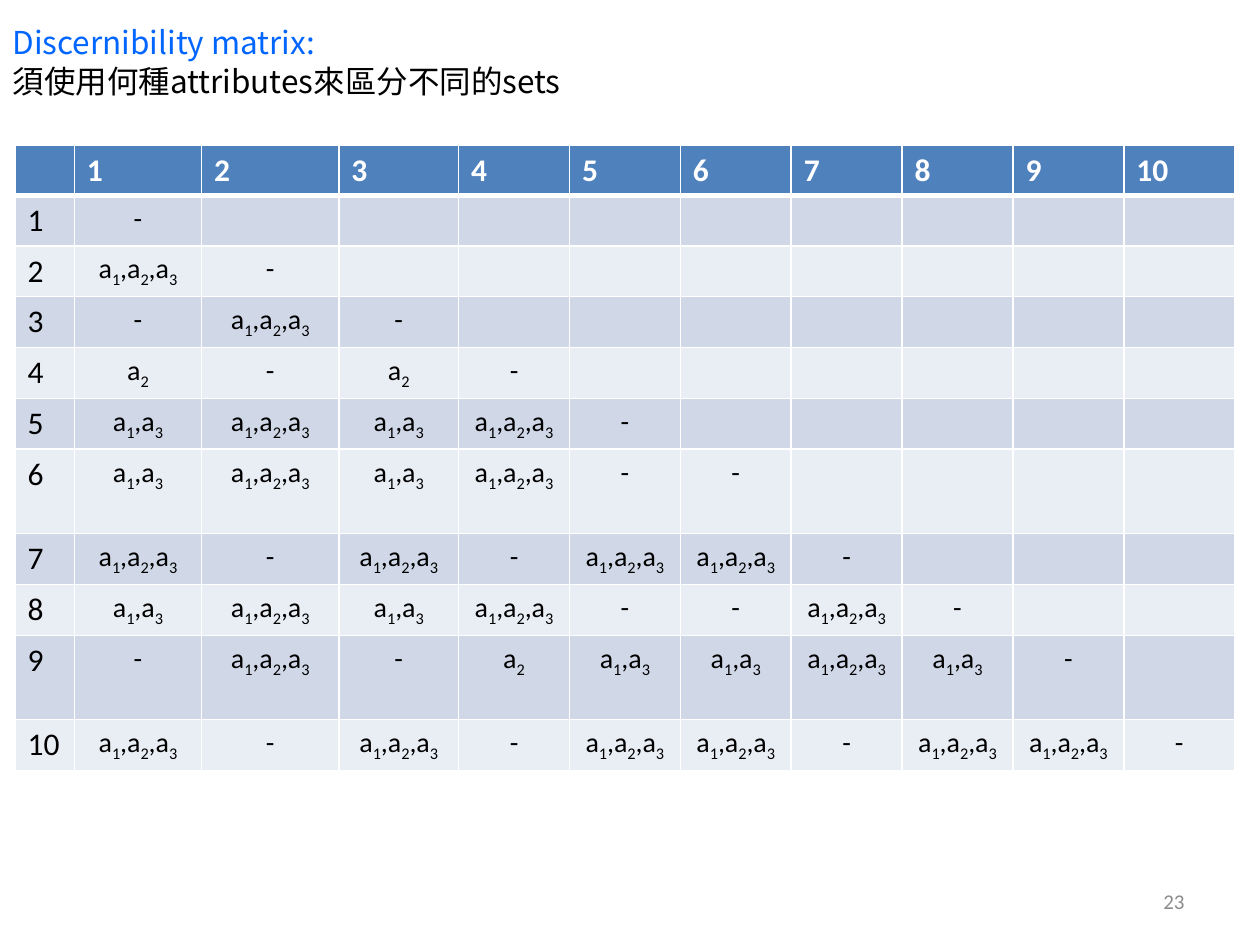
from dataclasses import dataclass
from typing import Any

from lxml import etree
from pptx import Presentation
from pptx import util as u
from pptx.dml.color import RGBColor
from pptx.enum import text as t
from pptx.oxml.ns import qn

HUES = {
    "blue": "0066FF", "black": "000000", "white": "FFFFFF", "gray": "8C8C8C",
    "head": "4F81BD", "odd": "D0D8E8", "even": "E9EDF4",
}
CJK = "Noto Sans CJK SC"


@dataclass(frozen=True)
class Style:
    size: int
    hue: str = "black"
    bold: bool = False
    font: str = "Calibri"


HEAD = Style(18, "white", True)
LABEL = Style(18)
ENTRY = Style(16)

WIDTHS = [0.47, 1.01, 1.09, 0.95] + [0.88] * 7
TALL = {6, 9}
MATRIX = [
    "-",
    "123 -",
    "- 123 -",
    "2 - 2 -",
    "13 123 13 123 -",
    "13 123 13 123 - -",
    "123 - 123 - 123 123 -",
    "13 123 13 123 - - 123 -",
    "- 123 - 2 13 13 123 13 -",
    "123 - 123 - 123 123 - 123 123 -",
]


def color(hue: str) -> RGBColor:
    return RGBColor.from_string(HUES[hue])


def add_run(para: Any, words: str, style: Style, sub: bool = False) -> None:
    run = para.add_run()
    run.text = words
    font = run.font
    font.size, font.bold, font.name = u.Pt(style.size), style.bold, style.font
    font.color.rgb = color(style.hue)
    props = run._r.get_or_add_rPr()
    if style.font == CJK:
        etree.SubElement(props, qn("a:ea"), typeface=CJK)
    if sub:
        props.set("baseline", "-25000")


def add_entry(para: Any, code: str) -> None:
    para.alignment = t.PP_ALIGN.CENTER
    if code == "-":
        add_run(para, code, ENTRY)
        return
    for i, digit in enumerate(code):
        add_run(para, ",a" if i else "a", ENTRY)
        add_run(para, digit, ENTRY, sub=True)


def paint(cell: Any, row: int) -> None:
    props = cell._tc.get_or_add_tcPr()
    for side in "LRTB":
        thick = (row, side) in {(0, "B"), (1, "T")}
        line = etree.SubElement(props, qn(f"a:ln{side}"), w=str(u.Pt(3 if thick else 1)))
        fill = etree.SubElement(line, qn("a:solidFill"))
        etree.SubElement(fill, qn("a:srgbClr"), val=HUES["white"])
    cell.fill.solid()
    cell.fill.fore_color.rgb = color("head" if row == 0 else "odd" if row % 2 else "even")


def add_title(slide: Any) -> None:
    title = slide.shapes.title
    title.left, title.top = u.Inches(0), u.Inches(0.13)
    title.width, title.height = u.Inches(4.92), u.Inches(0.71)
    frame = title.text_frame
    frame.word_wrap = True
    frame.vertical_anchor = t.MSO_ANCHOR.TOP
    frame.auto_size = t.MSO_AUTO_SIZE.SHAPE_TO_FIT_TEXT
    lines = [
        ("Discernibility matrix:", "blue"),
        ("須使用何種attributes來區分不同的sets", "black"),
    ]
    for i, (words, hue) in enumerate(lines):
        para = frame.add_paragraph() if i else frame.paragraphs[0]
        para.alignment = t.PP_ALIGN.LEFT
        para.line_spacing = u.Pt(22)
        add_run(para, words, Style(18, hue, font=CJK))


def add_matrix(slide: Any) -> None:
    count = len(WIDTHS)
    table = slide.shapes.add_table(
        count, count, u.Inches(0.12), u.Inches(1.15),
        u.Inches(sum(WIDTHS)), u.Inches(4.92)).table
    for col, width in zip(table.columns, WIDTHS):
        col.width = u.Inches(width)
    for r, row in enumerate(table.rows):
        row.height = u.Inches(0.67 if r in TALL else 0.4)
        codes = MATRIX[r - 1].split() if r else []
        for c, cell in enumerate(row.cells):
            paint(cell, r)
            para = cell.text_frame.paragraphs[0]
            if r == 0 and c:
                add_run(para, str(c), HEAD)
            elif r and c == 0:
                add_run(para, str(r), LABEL)
            elif 0 < c <= len(codes):
                add_entry(para, codes[c - 1])


def add_number(slide: Any) -> None:
    box = slide.shapes.add_textbox(
        u.Inches(7.17), u.Inches(6.95), u.Inches(2.33), u.Inches(0.4))
    frame = box.text_frame
    frame.word_wrap = True
    frame.vertical_anchor = t.MSO_ANCHOR.MIDDLE
    para = frame.paragraphs[0]
    para.alignment = t.PP_ALIGN.RIGHT
    add_run(para, "23", Style(12, "gray"))


def main() -> None:
    deck = Presentation()
    deck.slide_width, deck.slide_height = u.Inches(10), u.Inches(7.5)
    slide = deck.slides.add_slide(deck.slide_layouts[5])
    add_title(slide)
    add_matrix(slide)
    add_number(slide)
    deck.save("out.pptx")


if __name__ == "__main__":
    main()
